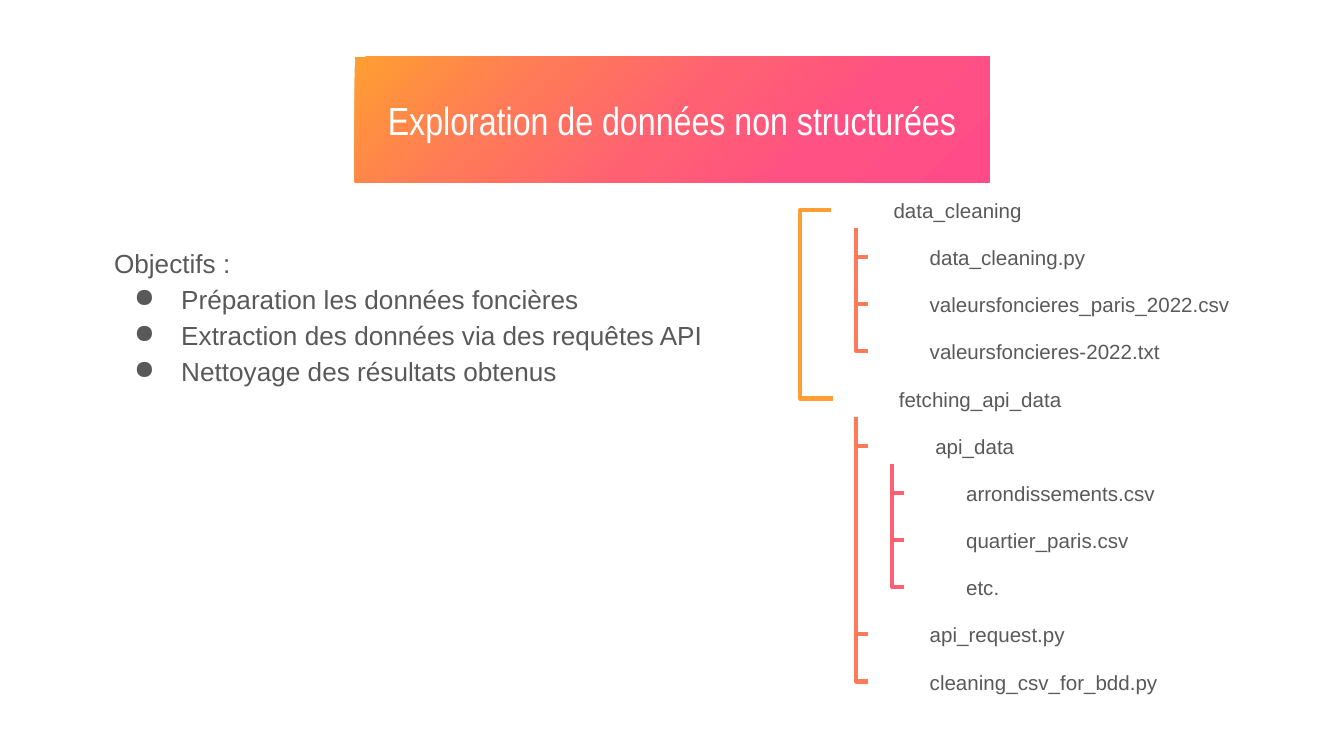
from lxml import etree
from pptx import Presentation
from pptx.dml.color import RGBColor
from pptx.enum.shapes import MSO_CONNECTOR as CONN
from pptx.enum.text import MSO_ANCHOR as ANCHOR, MSO_AUTO_SIZE as AUTO, PP_ALIGN as ALIGN
from pptx.oxml import parse_xml
from pptx.oxml.ns import nsdecls, qn
from pptx.util import Pt


def rgb(value):
    return RGBColor.from_string(value)


def add_run(p, text, size, font, color):
    r = p.add_run()
    r.text = text
    r.font.size = Pt(size)
    r.font.name = font
    r.font.color.rgb = rgb(color)


GRAY = "595959"
ORANGE, CORAL, PINK = "FF9E32", "FF7A58", "FF6173"

prs = Presentation()
prs.slide_width, prs.slide_height = Pt(720), Pt(405)
s = prs.slides.add_slide(prs.slide_layouts[5])

title = s.shapes.title
title.left, title.top, title.width, title.height = Pt(190), Pt(43.7), Pt(340), Pt(40.5)
stops = [(0, ORANGE), (27, CORAL), (51, PINK), (73, "FF5183"), (100, "FF4C89")]
gs = "".join(f'<a:gs pos="{pos * 1000}"><a:srgbClr val="{c}"/></a:gs>' for pos, c in stops)
title.fill.background()
sppr = title._element.spPr
sppr.replace(sppr.find(qn("a:noFill")), parse_xml(
    f'<a:gradFill {nsdecls("a")}><a:gsLst>{gs}</a:gsLst><a:lin ang="2700000" scaled="0"/></a:gradFill>'))
tf = title.text_frame
tf.word_wrap = True
tf.auto_size = AUTO.SHAPE_TO_FIT_TEXT
tf.vertical_anchor = ANCHOR.MIDDLE
tf.margin_left = tf.margin_right = tf.margin_top = tf.margin_bottom = Pt(7.2)
p = tf.paragraphs[0]
p.alignment = ALIGN.CENTER
add_run(p, "Exploration de données non structurées", 21, "Arial Narrow", "FFFFFF")

goals = [
    "Préparation les données foncières",
    "Extraction des données via des requêtes API",
    "Nettoyage des résultats obtenus",
]
tf = s.shapes.add_textbox(Pt(54), Pt(125.3), Pt(332.6), Pt(87.8)).text_frame
tf.word_wrap = True
tf.auto_size = AUTO.SHAPE_TO_FIT_TEXT
tf.margin_top = tf.margin_bottom = Pt(7.2)
add_run(tf.paragraphs[0], "Objectifs :", 14, "Arial", GRAY)
for goal in goals:
    p = tf.add_paragraph()
    p.alignment = ALIGN.JUSTIFY
    p.line_spacing = 1.15
    ppr = p._p.get_or_add_pPr()
    ppr.set("marL", str(Pt(36)))
    ppr.set("indent", str(-Pt(25.2)))
    clr = etree.SubElement(ppr, qn("a:buClr"))
    etree.SubElement(clr, qn("a:srgbClr")).set("val", GRAY)
    etree.SubElement(ppr, qn("a:buChar")).set("char", "●")
    add_run(p, goal, 14, "Arial", GRAY)

ROW_TOP, PITCH = 99.4, 25.27
rows = [
    ("data_cleaning", 471.6, 87),
    ("data_cleaning.py", 491, 103),
    ("valeursfoncieres_paris_2022.csv", 491, 177),
    ("valeursfoncieres-2022.txt", 491, 143),
    ("fetching_api_data", 474.5, 103),
    ("api_data", 494, 58),
    ("arrondissements.csv", 510.5, 137),
    ("quartier_paris.csv", 510.5, 108),
    ("etc.", 510.5, 42),
    ("api_request.py", 491, 95),
    ("cleaning_csv_for_bdd.py", 491, 137),
]
for i, (name, left, width) in enumerate(rows):
    tf = s.shapes.add_textbox(Pt(left), Pt(ROW_TOP + i * PITCH), Pt(width), Pt(28)).text_frame
    tf.word_wrap = True
    tf.auto_size = AUTO.SHAPE_TO_FIT_TEXT
    tf.margin_top = tf.margin_bottom = Pt(7.2)
    add_run(tf.paragraphs[0], name, 11, "Arial", GRAY)

TICK = 6.5
branches = [
    (0, [1, 2, 3], 458.6, CORAL),
    (4, [5, 9, 10], 458.6, CORAL),
    (5, [6, 7, 8], 478, PINK),
]
lines = []
for parent, children, x, color in branches:
    y1 = ROW_TOP + parent * PITCH + 23
    for child in children:
        y2 = ROW_TOP + child * PITCH + 13
        cx, cy, half = x + TICK / 2, (y1 + y2) / 2, (y2 - y1) / 2
        c = s.shapes.add_connector(CONN.ELBOW, Pt(cx + half), Pt(cy - TICK / 2),
                                   Pt(cx - half), Pt(cy + TICK / 2))
        c._element.spPr.find(qn("a:prstGeom")).set("prst", "bentConnector2")
        c._element.spPr.find(qn("a:xfrm")).set("rot", "16200000")
        lines.append((c, color))

y = ROW_TOP + 13
c = s.shapes.add_connector(CONN.ELBOW, Pt(445), Pt(y), Pt(446), Pt(y + 4 * PITCH))
av = c._element.spPr.find(qn("a:prstGeom")).find(qn("a:avLst"))
gd = etree.SubElement(av, qn("a:gd"))
gd.set("name", "adj1")
gd.set("fmla", "val -1650000")
lines.append((c, ORANGE))

for c, color in lines:
    c.line.color.rgb = rgb(color)
    c.line.width = Pt(2.25)
    etree.SubElement(c._element.spPr, qn("a:effectLst"))

prs.save("out.pptx")
